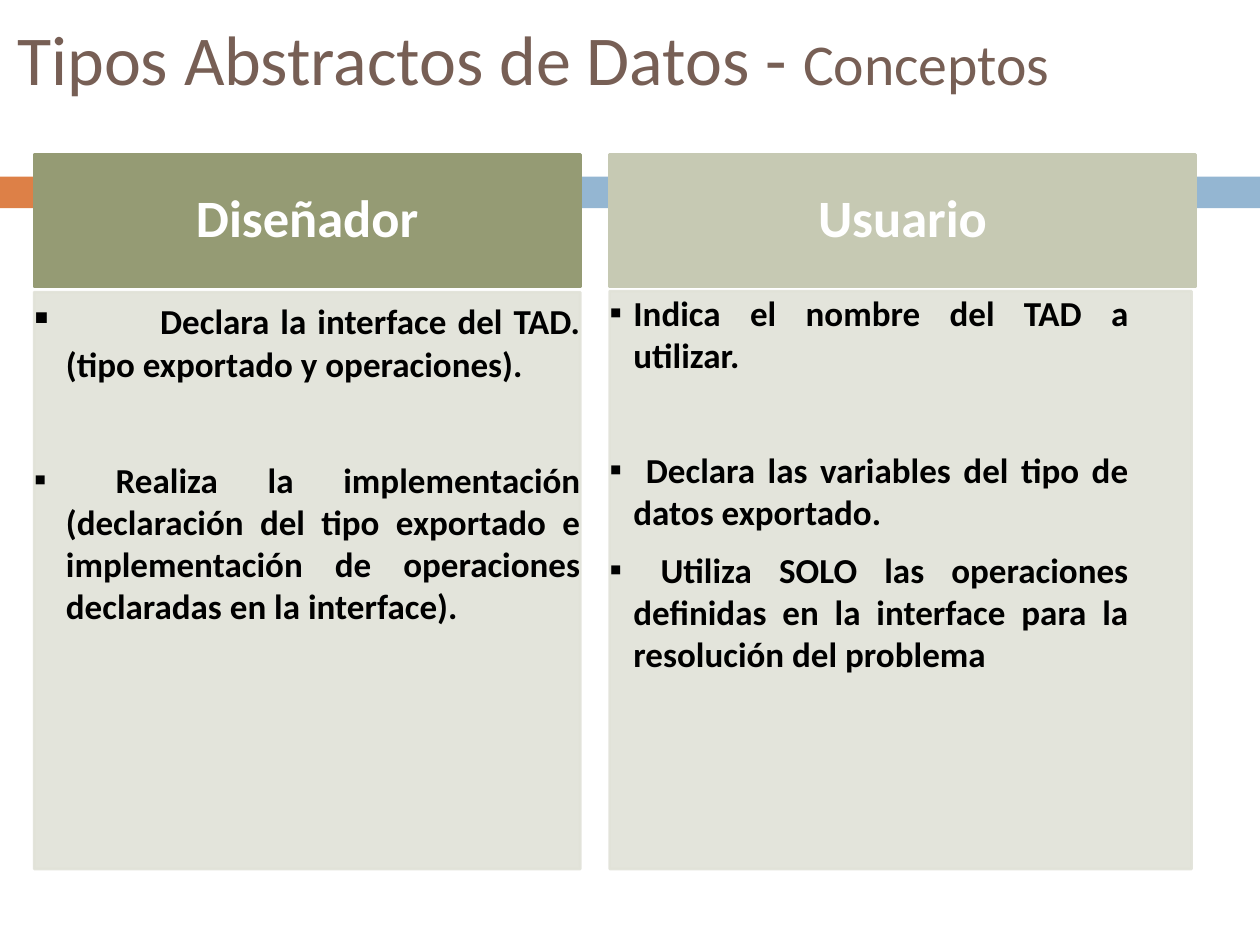
from pptx import Presentation
from pptx.dml.color import RGBColor
from pptx.enum.shapes import MSO_SHAPE as SHAPE
from pptx.enum.text import MSO_ANCHOR as ANCHOR, PP_ALIGN as ALIGN
from pptx.oxml.ns import qn
from pptx.util import Cm, Pt
from lxml.etree import SubElement

COLORS = {"title": "775F55", "orange": "DD8047", "blue": "94B6D2",
          "designer": "959B74", "user": "C6C9B3", "panel": "E1E2D8",
          "white": "FFFFFF", "black": "000000"}


class Deck:
    """Slide builder holding the shared style and the current slide."""

    def __init__(self, font="Calibri"):
        self.font = font
        self.prs = Presentation()
        self.prs.slide_width, self.prs.slide_height = Cm(25.4), Cm(19.05)
        self.s = self.prs.slides.add_slide(self.prs.slide_layouts[6])

    def run(self, p, text, size, color, bold=False):
        r = p.add_run()
        r.text = text
        r.font.name, r.font.size, r.font.bold = self.font, Pt(size), bold
        r.font.color.rgb = RGBColor.from_string(COLORS[color])

    def frame(self, sp, anchor, insets):
        tf = sp.text_frame
        tf.word_wrap, tf.vertical_anchor = True, anchor
        tf.margin_left, tf.margin_top, tf.margin_right, tf.margin_bottom = map(Cm, insets)
        return tf

    def rect(self, box, color, outline=False, alpha=None):
        sp = self.s.shapes.add_shape(SHAPE.RECTANGLE, *map(Cm, box))
        sp.shadow.inherit = False
        fills = [sp.fill]
        if outline:
            sp.line.width = Pt(1.5)
            fills.append(sp.line.fill)
        else:
            sp.line.fill.background()
        for fill in fills:
            fill.solid()
            fill.fore_color.rgb = RGBColor.from_string(COLORS[color])
        if alpha:
            for clr in sp._element.spPr.iter(qn("a:srgbClr")):
                SubElement(clr, qn("a:alpha"), val=str(alpha * 1000))
        return sp

    def title(self, box, parts):
        sp = self.s.shapes.add_textbox(*map(Cm, box))
        p = self.frame(sp, ANCHOR.MIDDLE, (0.25, 0.13, 0.25, 0.13)).paragraphs[0]
        for text, size in parts:
            self.run(p, text, size, "title")

    def header(self, box, color, text):
        sp = self.rect(box, color, outline=True)
        p = self.frame(sp, ANCHOR.MIDDLE, (0.58, 0.33, 0.58, 0.33)).paragraphs[0]
        p.alignment, p.line_spacing, p.space_after = ALIGN.CENTER, 0.9, Pt(13.1)
        self.run(p, text, 30, "white", bold=True)

    def bullet(self, p, indent, tab):
        pPr = p._p.get_or_add_pPr()
        pPr.set("marL", str(Cm(indent)))
        pPr.set("indent", str(-Cm(indent)))
        clr = SubElement(pPr, qn("a:buClr"))
        SubElement(clr, qn("a:srgbClr"), val=COLORS["black"])
        SubElement(pPr, qn("a:buFont"), typeface=self.font)
        SubElement(pPr, qn("a:buChar"), char="▪")
        tabs = SubElement(pPr, qn("a:tabLst"))
        SubElement(tabs, qn("a:tab"), pos=str(Cm(tab)), algn="l")

    def panel(self, box, insets, indent, items):
        sp = self.rect(box, "panel", outline=True, alpha=90)
        tf = self.frame(sp, ANCHOR.TOP, insets)
        for i, (before, runs) in enumerate(items):
            p = tf.add_paragraph() if i else tf.paragraphs[0]
            self.bullet(p, indent, 2.54)
            p.alignment, p.space_before, p.space_after = ALIGN.JUSTIFY, Pt(before), Pt(9)
            for text, size in runs:
                self.run(p, text, size, "black", bold=True)


def main():
    gap = 33
    deck = Deck()
    deck.rect((0, 3.56, 1.47, 0.64), "orange")
    deck.rect((1.65, 3.56, 23.75, 0.64), "blue")
    deck.title((0.1, 0, 25.3, 2.31),
               [("Tipos Abstractos de Datos - ", 40), ("Conceptos", 33)])

    deck.header((0.69, 3.12, 11.01, 2.67), "designer", "Diseñador")
    deck.panel((0.69, 5.89, 11.01, 11.63), (0, 0, 0, 0), 0.64, [
        (0, [("\t", 24),
             ("Declara la interface del TAD. (tipo exportado y operaciones).", 20)]),
        (gap, [(" Realiza la implementación (declaración del tipo exportado e "
                "implementación de operaciones declaradas en la interface).", 20)]),
    ])

    deck.header((12.29, 3.12, 11.81, 2.67), "user", "Usuario")
    deck.panel((12.29, 5.87, 11.73, 11.65), (0, 0, 1.27, 1.42), 0.48, [
        (0, [("Indica el nombre del TAD a utilizar.", 20)]),
        (gap, [(" Declara las variables del tipo de datos exportado.", 20)]),
        (0, [(" Utiliza SOLO las operaciones definidas en la interface para la "
              "resolución del problema", 20)]),
    ])
    deck.prs.save("out.pptx")


if __name__ == "__main__":
    main()
